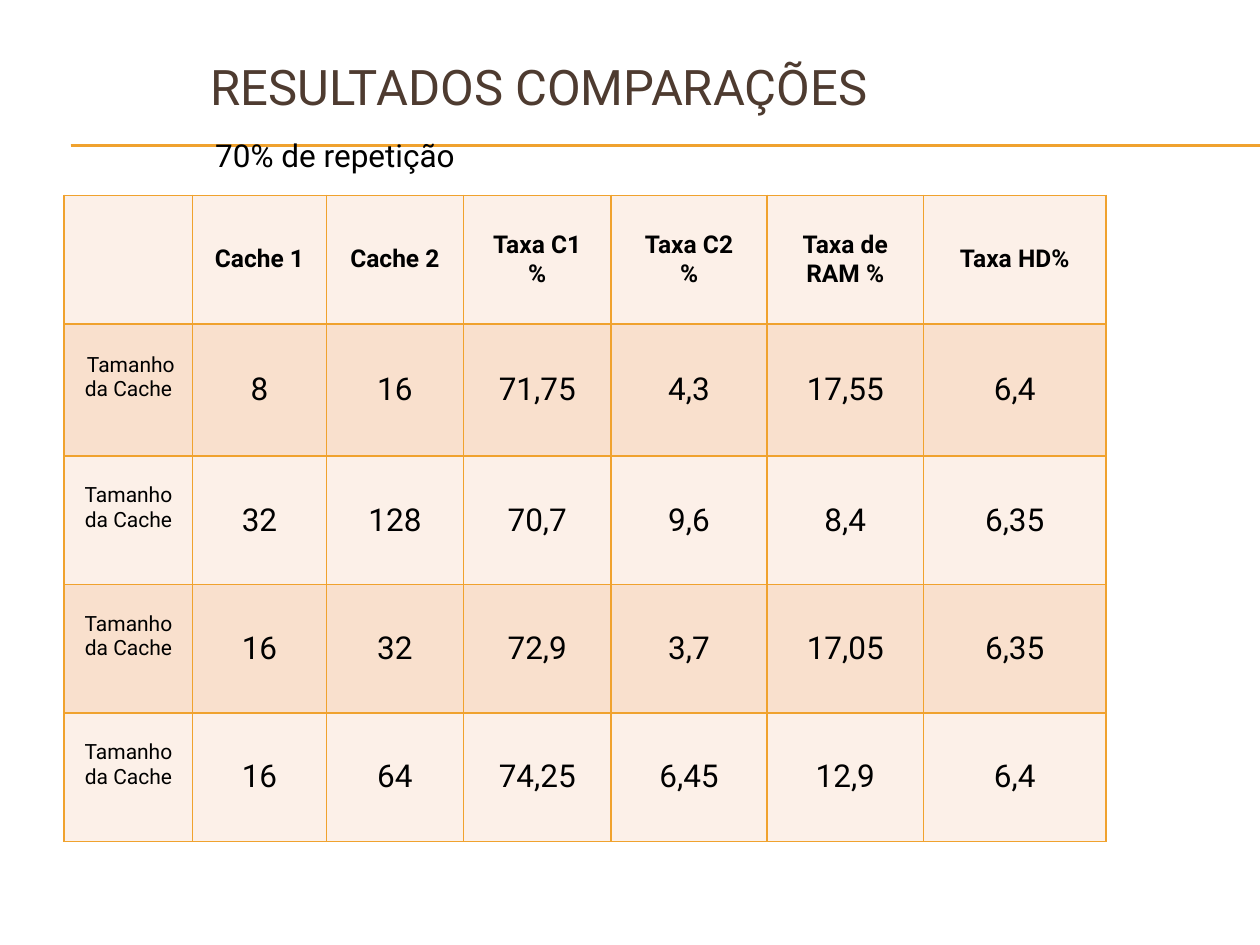
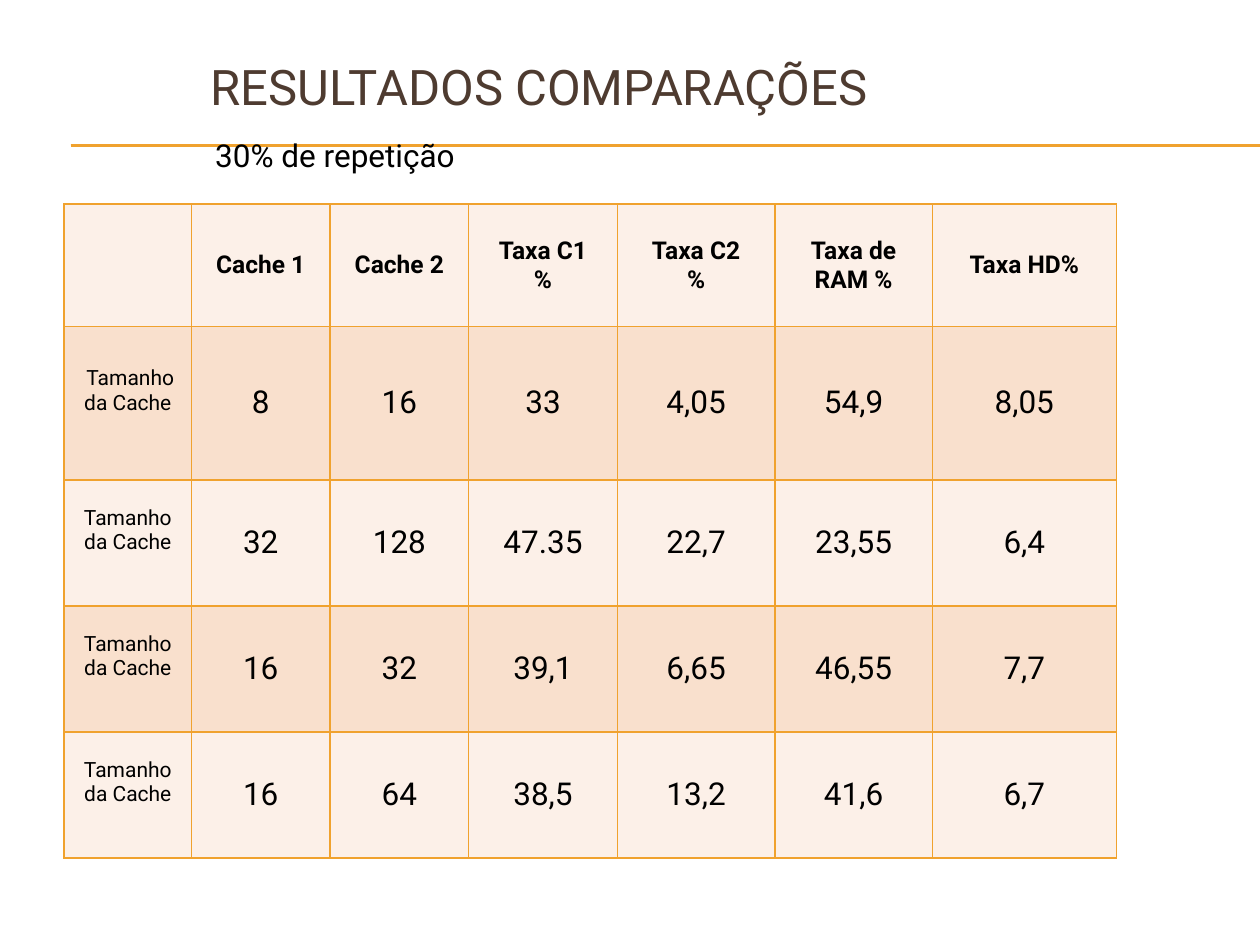
from dataclasses import dataclass

from lxml.etree import SubElement
from pptx import Presentation
from pptx.dml.color import RGBColor
from pptx.enum.shapes import MSO_CONNECTOR as Connector
from pptx.enum.text import MSO_ANCHOR as Anchor, MSO_AUTO_SIZE as AutoSize, PP_ALIGN as Align
from pptx.oxml.ns import qn
from pptx.slide import Slide
from pptx.table import _Cell as Cell
from pptx.text.text import TextFrame
from pptx.util import Inches, Length, Pt

WIDTH, HEIGHT = 10, 7.5
FONT = "Roboto"
BLACK, BROWN, GOLD = "000000", "4E3B30", "F0A22E"
BANDS = ("FCF0E8", "F9E0CD")
TITLE = "RESULTADOS COMPARAÇÕES"
TITLE_ONLY = 5
RULE_LEFT, RULE_TOPS = 0.56, (1.15, 1.15, 1.16)
TABLE_LEFT = 0.51
LABEL = "Tamanho da Cache"
LABEL_LIFT = 0.2
HEADER = ("", "Cache 1", "Cache 2", "Taxa C1\n%", "Taxa C2\n%", "Taxa de RAM %", "Taxa HD%")
CACHE_SIZES = (("8", "16"), ("32", "128"), ("16", "32"), ("16", "64"))


@dataclass(frozen=True)
class Result:
    """Measured rates for one repetition level, with the grid that holds them."""
    caption: str
    top: float
    cols: tuple[float, ...]
    rows: tuple[float, ...]
    rates: tuple[tuple[str, ...], ...]

    def grid(self) -> list[tuple[str, ...]]:
        """Return the header and the body rows of the table."""
        body = [(LABEL, *sizes, *rates) for sizes, rates in zip(CACHE_SIZES, self.rates)]
        body[0] = (" " + LABEL, *body[0][1:])
        return [HEADER, *body]


RESULTS = (
    Result("70% de repetição", 1.55,
           (1.02, 1.06, 1.09, 1.17, 1.24, 1.24, 1.45), (1.02, 1.05, 1.02, 1.02, 1.02),
           (("71,75", "4,3", "17,55", "6,4"), ("70,7", "9,6", "8,4", "6,35"),
            ("72,9", "3,7", "17,05", "6,35"), ("74,25", "6,45", "12,9", "6,4"))),
    Result("30% de repetição", 1.62,
           (1.01, 1.1, 1.1, 1.18, 1.25, 1.25, 1.46), (0.97, 1.22, 1, 1, 1),
           (("33", "4,05", "54,9", "8,05"), ("47.35", "22,7", "23,55", "6,4"),
            ("39,1", "6,65", "46,55", "7,7"), ("38,5", "13,2", "41,6", "6,7"))),
)


def rgb(color: str) -> RGBColor:
    """Turn a hex string into a colour."""
    return RGBColor.from_string(color)


def box(*lengths: float) -> list[Length]:
    """Convert lengths in inches."""
    return [Inches(n) for n in lengths]


def write(tf: TextFrame, text: str, size: float, color: str = BLACK,
          bold: bool = False, align: Align = Align.LEFT) -> None:
    """Fill a text frame, one paragraph for each line of text."""
    for i, line in enumerate(text.split("\n")):
        p = tf.paragraphs[0] if i == 0 else tf.add_paragraph()
        p.alignment = align
        r = p.add_run()
        r.text = line
        r.font.name, r.font.size, r.font.bold = FONT, Pt(size), bold
        r.font.color.rgb = rgb(color)


def add_rule(s: Slide) -> None:
    """Draw the gold rule under the title, running to the right edge."""
    for top in RULE_TOPS:
        line = s.shapes.add_connector(Connector.STRAIGHT, *box(RULE_LEFT, top, WIDTH, top))
        line.line.color.rgb, line.line.width = rgb(GOLD), Pt(0.75)
        SubElement(line._element.spPr, qn("a:effectLst"))


def add_headings(s: Slide, caption: str) -> None:
    """Place the shared title and the caption of this slide."""
    title = s.shapes.title
    title.left, title.top, title.width, title.height = box(1.57, 0.3, 8.2, 0.77)
    title.text_frame.auto_size = AutoSize.NONE
    title.text_frame.vertical_anchor = Anchor.MIDDLE
    write(title.text_frame, TITLE, 28, BROWN)
    tf = s.shapes.add_textbox(*box(1.61, 1.03, 2.68, 0.4)).text_frame
    tf.word_wrap, tf.auto_size = True, AutoSize.SHAPE_TO_FIT_TEXT
    write(tf, caption, 18)


def add_borders(cell: Cell) -> None:
    """Outline a cell in gold on its four sides."""
    tc_pr = cell._tc.get_or_add_tcPr()
    for side in "LRTB":
        ln = SubElement(tc_pr, qn(f"a:ln{side}"), w=str(Pt(1)))
        SubElement(SubElement(ln, qn("a:solidFill")), qn("a:srgbClr"), val=GOLD)


def add_results(s: Slide, result: Result) -> None:
    """Draw the banded table of results."""
    cols, rows = result.cols, result.rows
    table = s.shapes.add_table(len(rows), len(cols), *box(
        TABLE_LEFT, result.top, sum(cols), sum(rows))).table
    for col, width in zip(table.columns, cols):
        col.width = Inches(width)
    for row, height in zip(table.rows, rows):
        row.height = Inches(height)
    for i, texts in enumerate(result.grid()):
        for j, text in enumerate(texts):
            cell = table.cell(i, j)
            add_borders(cell)
            cell.fill.solid()
            cell.fill.fore_color.rgb = rgb(BANDS[i % 2])
            cell.vertical_anchor = Anchor.MIDDLE
            if i and j == 0:
                cell.margin_bottom += Inches(LABEL_LIFT)
            if text:
                size = 14 if i == 0 else 12 if j == 0 else 18
                write(cell.text_frame, text, size, bold=i == 0, align=Align.CENTER)


def main() -> None:
    """Build one slide for each repetition level."""
    prs = Presentation()
    prs.slide_width, prs.slide_height = box(WIDTH, HEIGHT)
    for result in RESULTS:
        s = prs.slides.add_slide(prs.slide_layouts[TITLE_ONLY])
        add_rule(s)
        add_headings(s, result.caption)
        add_results(s, result)
    prs.save("out.pptx")


main()
